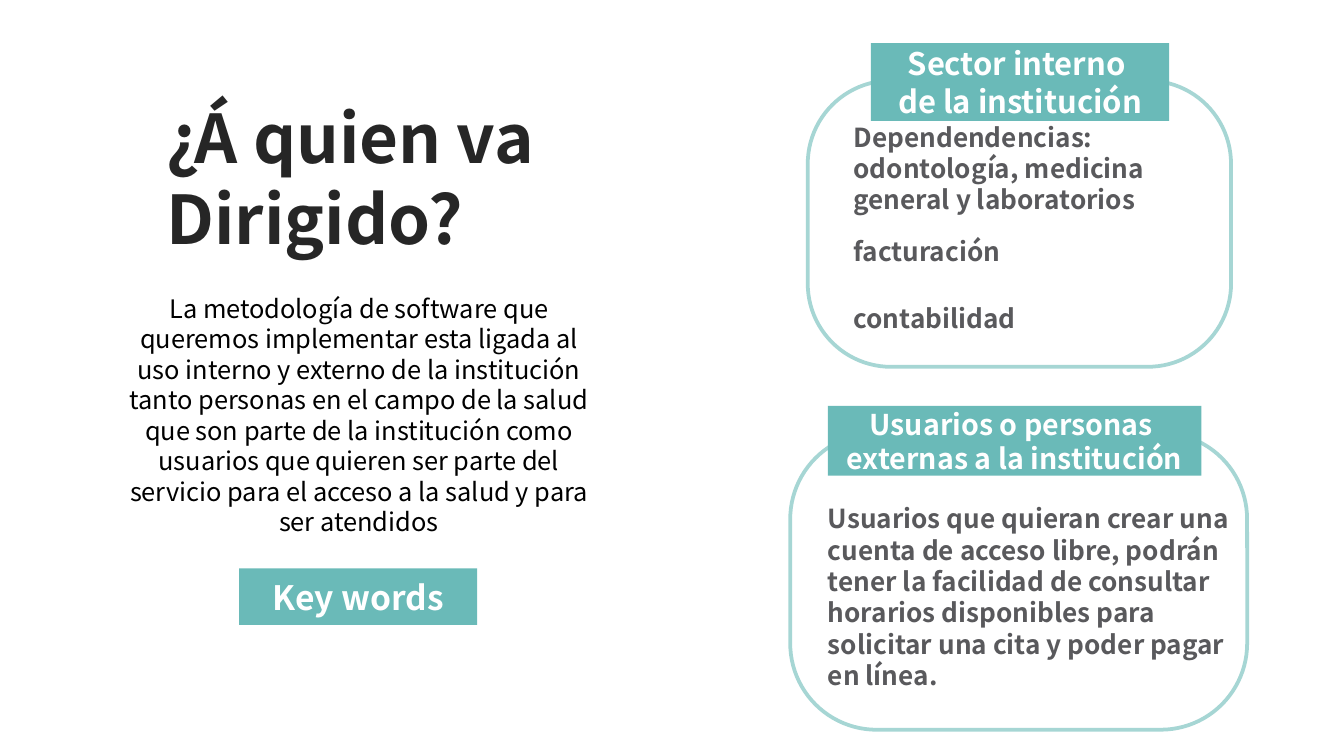
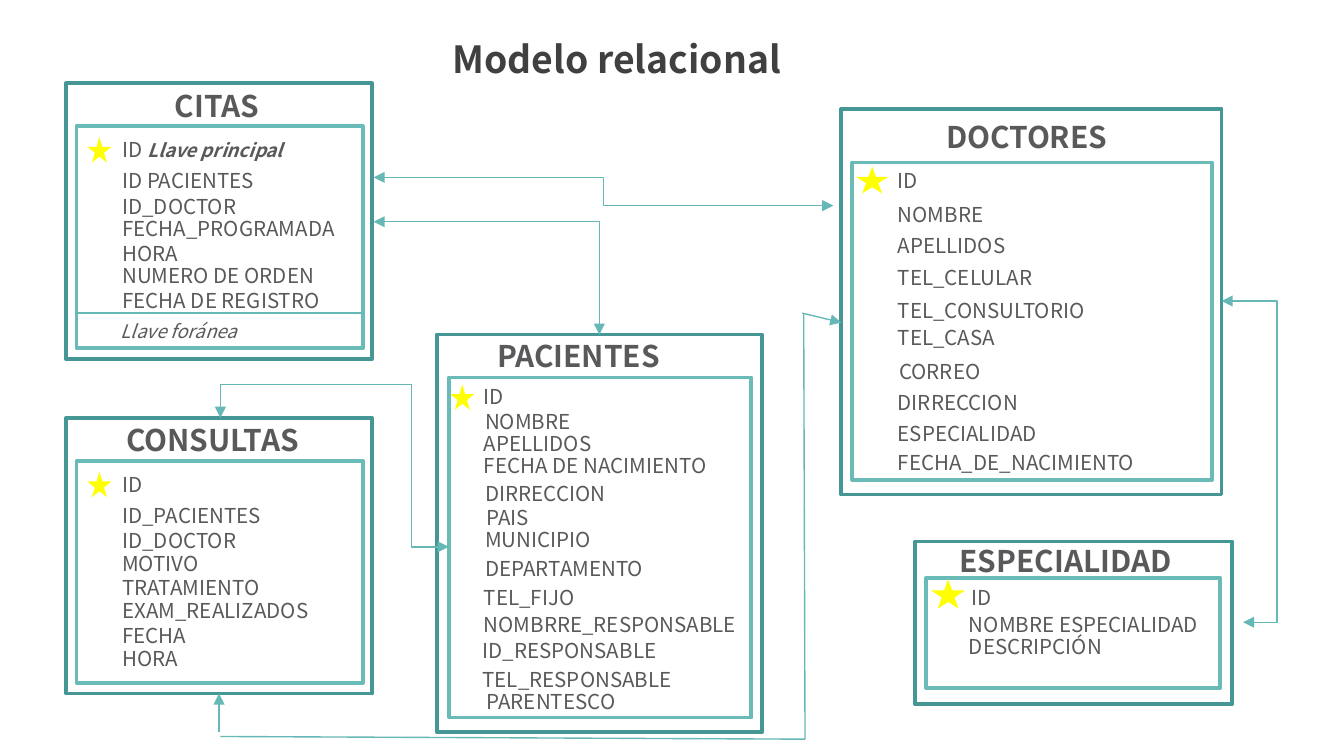
"""Builds two slides: the audience of the project and its relational model."""
from lxml.etree import SubElement
from pptx import Presentation
from pptx.dml.color import RGBColor
from pptx.enum.shapes import MSO_CONNECTOR as LINK, MSO_SHAPE as SHAPE
from pptx.enum.text import MSO_ANCHOR as ANCHOR, MSO_AUTO_SIZE as FIT, PP_ALIGN as ALIGN
from pptx.oxml.ns import qn
from pptx.util import Emu, Pt

PX = 9144
FONT = "Noto Sans CJK SC"
WHITE = RGBColor(0xFF, 0xFF, 0xFF)
BLACK = RGBColor(0, 0, 0)
INK = RGBColor(0x26, 0x26, 0x26)
CHARCOAL = RGBColor(0x40, 0x40, 0x40)
GREY = RGBColor(0x59, 0x59, 0x5C)
TEAL = RGBColor(0x6A, 0xBA, 0xB8)
DARK_TEAL = RGBColor(0x45, 0x96, 0x94)
PALE_TEAL = RGBColor(0xA6, 0xD6, 0xD4)
LINK_TEAL = RGBColor(0x66, 0xB8, 0xB6)
YELLOW = RGBColor(0xFF, 0xFF, 0)

AUDIENCE_TITLE = "¿Á quien va\nDirigido?"
AUDIENCE_INTRO = (
    "La metodología de software que queremos implementar esta ligada al uso interno y externo "
    "de la institución tanto personas en el campo de la salud que son parte de la institución "
    "como usuarios que quieren ser parte del servicio para el acceso a la salud y para ser atendidos"
)
KEY_WORDS = ("Key words", (178, 423, 177, 42), 18)
SECTORS = [
    {
        "frame": (601, 60, 315, 213),
        "label": ("Sector interno \nde la institución", (648, 32, 222, 58), 16.6),
        "notes": [
            ("Dependendencias: odontología, medicina general y laboratorios", (635, 90, 265, 71)),
            ("facturación", (635, 175, 265, 24)),
            ("contabilidad", (635, 225, 265, 24)),
        ],
    },
    {
        "frame": (588, 322, 340, 221),
        "label": ("Usuarios o personas \nexternas a la institución", (616, 302, 278, 52), 15.3),
        "notes": [
            ("Usuarios que quieran crear una cuenta de acceso libre, podrán tener la facilidad de "
             "consultar horarios disponibles para solicitar una cita y poder pagar en línea.",
             (616, 374, 300, 141)),
        ],
    },
]

MODEL_TITLE = "Modelo relacional"
ENTITIES = {
    "CITAS": {
        "outer": (49, 62, 228, 205), "inner": (57, 94, 213, 165),
        "heading": (130, 65, 67, 27), "star": (65, 102, 18, 19),
        "left": 91, "width": 173,
        "fields": [(102, "ID"), (125, "ID PACIENTES"), (144, "ID_DOCTOR"),
                   (161, "FECHA_PROGRAMADA"), (179, "HORA"),
                   (196, "NUMERO DE ORDEN FECHA DE REGISTRO")],
    },
    "DOCTORES": {
        "outer": (626, 81, 283, 287), "inner": (634, 121, 268, 236),
        "heading": (704, 88, 127, 27), "star": (637, 124, 24, 20),
        "left": 668, "width": 218,
        "fields": [(125, "ID"), (150, "NOMBRE"), (173, "APELLIDOS"), (197, "TEL_CELULAR"),
                   (222, "TEL_CONSULTORIO"), (242, "TEL_CASA"), (267, "CORREO", 1),
                   (290, "DIRRECCION"), (313, "ESPECIALIDAD"), (335, "FECHA_DE_NACIMIENTO")],
    },
    "PACIENTES": {
        "outer": (325, 249, 242, 296), "inner": (334, 281, 225, 253),
        "heading": (370, 251, 126, 27), "star": (335, 286, 18, 19),
        "left": 360, "width": 237,
        "fields": [(286, "ID"), (304, "NOMBRE", 1), (321, "APELLIDOS"),
                   (337, "FECHA DE NACIMIENTO"), (358, "DIRRECCION", 1), (376, "PAIS", 2),
                   (392, "MUNICIPIO", 1), (414, "DEPARTAMENTO", 1), (435, "TEL_FIJO"),
                   (455, "NOMBRRE_RESPONSABLE"), (475, "ID_RESPONSABLE", -1),
                   (496, "TEL_RESPONSABLE", -1), (513, "PARENTESCO", 2)],
    },
    "CONSULTAS": {
        "outer": (49, 311, 228, 205), "inner": (57, 343, 213, 165),
        "heading": (94, 314, 140, 27), "star": (65, 351, 18, 19),
        "left": 91, "width": 187,
        "fields": [(351, "ID"), (374, "ID_PACIENTES"), (393, "ID_DOCTOR"), (410, "MOTIVO"),
                   (428, "TRATAMIENTO"), (445, "EXAM_REALIZADOS FECHA"), (481, "HORA")],
    },
    "ESPECIALIDAD": {
        "outer": (681, 403, 236, 121), "inner": (689, 430, 219, 82),
        "heading": (714, 404, 181, 25), "star": (693, 431, 25, 22),
        "left": 721, "width": 204,
        "fields": [(435, "ID", 2), (455, "NOMBRE ESPECIALIDAD"), (472, "DESCRIPCIÓN")],
    },
}
KEY_NOTES = [("Llave principal", (110, 103, 136, 17), True),
             ("Llave foránea", (90, 238, 136, 17), False)]
ELBOWS = [
    ((278, 165), (446, 249), "bentConnector2", []),
    ((334, 407), (164, 311), "bentConnector4", [0.164, 1.261]),
    ((925, 463), (909, 224), "bentConnector3", [-1.587]),
    ((278, 132), (620, 153), "bentConnector3", [0.5]),
]
PLAIN_LINES = [((164, 548), (599, 550)), ((599, 550), (598, 233)), ((57, 233), (270, 233))]
DOCTOR_ARROW = ((597, 233), (626, 240))
CONSULTA_ARROW = ((163, 545), (163, 516))


def scaled(box):
    return [Emu(n * PX) for n in box]


def write(frame, text, size, color, bold=False, italic=False, align=ALIGN.LEFT,
          anchor=ANCHOR.TOP, wrap=True, inset=None):
    frame.text = text
    frame.auto_size = FIT.NONE
    frame.word_wrap = wrap
    frame.vertical_anchor = anchor
    if inset is not None:
        frame.margin_left = frame.margin_right = frame.margin_top = frame.margin_bottom = inset
    for line in frame.paragraphs:
        line.alignment = align
        line.space_before = Pt(0)
        font = line.font
        font.name, font.size, font.bold, font.italic = FONT, Pt(size), bold, italic
        font.color.rgb = color


def place(holder, box):
    holder.left, holder.top, holder.width, holder.height = scaled(box)
    return holder.text_frame


def add_text(slide, text, box, size, bold=False, italic=False):
    frame = slide.shapes.add_textbox(*scaled(box)).text_frame
    write(frame, text, size, GREY, bold, italic, inset=0)


def add_box(slide, kind, box, fill=None, line=None):
    shape = slide.shapes.add_shape(kind, *scaled(box))
    shape.shadow.inherit = False
    if fill is None:
        shape.fill.background()
    else:
        shape.fill.solid()
        shape.fill.fore_color.rgb = fill
    if line is None:
        shape.line.fill.background()
    else:
        shape.line.color.rgb = line
        shape.line.width = Pt(2)
    return shape


def add_label(slide, text, box, size):
    band = add_box(slide, SHAPE.RECTANGLE, box, TEAL)
    write(band.text_frame, text, size, WHITE, True, align=ALIGN.CENTER,
          anchor=ANCHOR.MIDDLE, wrap=False)


def add_link(slide, start, end, ends=(), kind=LINK.STRAIGHT):
    link = slide.shapes.add_connector(kind, *scaled(start + end))
    link.line.color.rgb = LINK_TEAL
    link.line.width = Pt(0.75)
    properties = link._element.spPr
    for tip in ends:
        SubElement(properties.find(qn("a:ln")), qn(f"a:{tip}End"), type="triangle")
    SubElement(properties, qn("a:effectLst"))
    return link


def add_elbow(slide, start, end, preset, bends):
    link = add_link(slide, start, end, ("head", "tail"), LINK.ELBOW)
    geometry = link._element.spPr.find(qn("a:prstGeom"))
    geometry.set("prst", preset)
    guides = geometry.find(qn("a:avLst"))
    if guides is None:
        guides = SubElement(geometry, qn("a:avLst"))
    for number, bend in enumerate(bends, 1):
        SubElement(guides, qn("a:gd"), name=f"adj{number}", fmla=f"val {round(bend * 100000)}")


def build_audience(deck):
    slide = deck.slides.add_slide(deck.slide_layouts[1])
    title, intro = slide.placeholders
    heading = place(title, (81, 129, 372, 68))
    write(heading, AUDIENCE_TITLE, 36, INK, True, anchor=ANCHOR.BOTTOM, wrap=False)
    heading.margin_left = Emu(43 * PX)
    frame = place(intro, (81, 213, 372, 213))
    write(frame, AUDIENCE_INTRO, 13.6, BLACK, align=ALIGN.CENTER)
    layout = frame.paragraphs[0]._p.get_or_add_pPr()
    layout.set("marL", "0")
    layout.set("indent", "0")
    layout.find(qn("a:spcBef")).addnext(layout.makeelement(qn("a:buNone")))
    add_label(slide, *KEY_WORDS)
    for sector in SECTORS:
        outline = add_box(slide, SHAPE.ROUNDED_RECTANGLE, sector["frame"], WHITE, PALE_TEAL)
        outline.adjustments[0] = 0.291
        add_label(slide, *sector["label"])
        for text, box in sector["notes"]:
            add_text(slide, text, box, 14, True)


def add_entity(slide, name, entity):
    outer = add_box(slide, SHAPE.RECTANGLE, entity["outer"], line=DARK_TEAL)
    add_box(slide, SHAPE.RECTANGLE, entity["inner"], WHITE, TEAL)
    add_box(slide, SHAPE.STAR_5_POINT, entity["star"], YELLOW)
    add_text(slide, name, entity["heading"], 16, True)
    for top, field, *shift in entity["fields"]:
        add_text(slide, field, (entity["left"] + sum(shift), top, entity["width"], 19), 11)
    return outer


def build_model(deck):
    slide = deck.slides.add_slide(deck.slide_layouts[5])
    write(place(slide.shapes.title, (292, 10, 334, 67)), MODEL_TITLE, 20, CHARCOAL, True,
          align=ALIGN.CENTER, anchor=ANCHOR.MIDDLE, wrap=False, inset=0)
    frames = {name: add_entity(slide, name, entity) for name, entity in ENTITIES.items()}
    for text, box, bold in KEY_NOTES:
        add_text(slide, text, box, 10, bold, True)
    for elbow in ELBOWS:
        add_elbow(slide, *elbow)
    for start, end in PLAIN_LINES:
        add_link(slide, start, end)
    add_link(slide, *DOCTOR_ARROW, ["tail"])
    add_link(slide, *CONSULTA_ARROW, ["tail"]).end_connect(frames["CONSULTAS"], 2)


def main():
    deck = Presentation()
    deck.slide_width = Emu(1000 * PX)
    deck.slide_height = Emu(deck.slide_width * 9 // 16)
    build_audience(deck)
    build_model(deck)
    deck.save("out.pptx")


if __name__ == "__main__":
    main()
